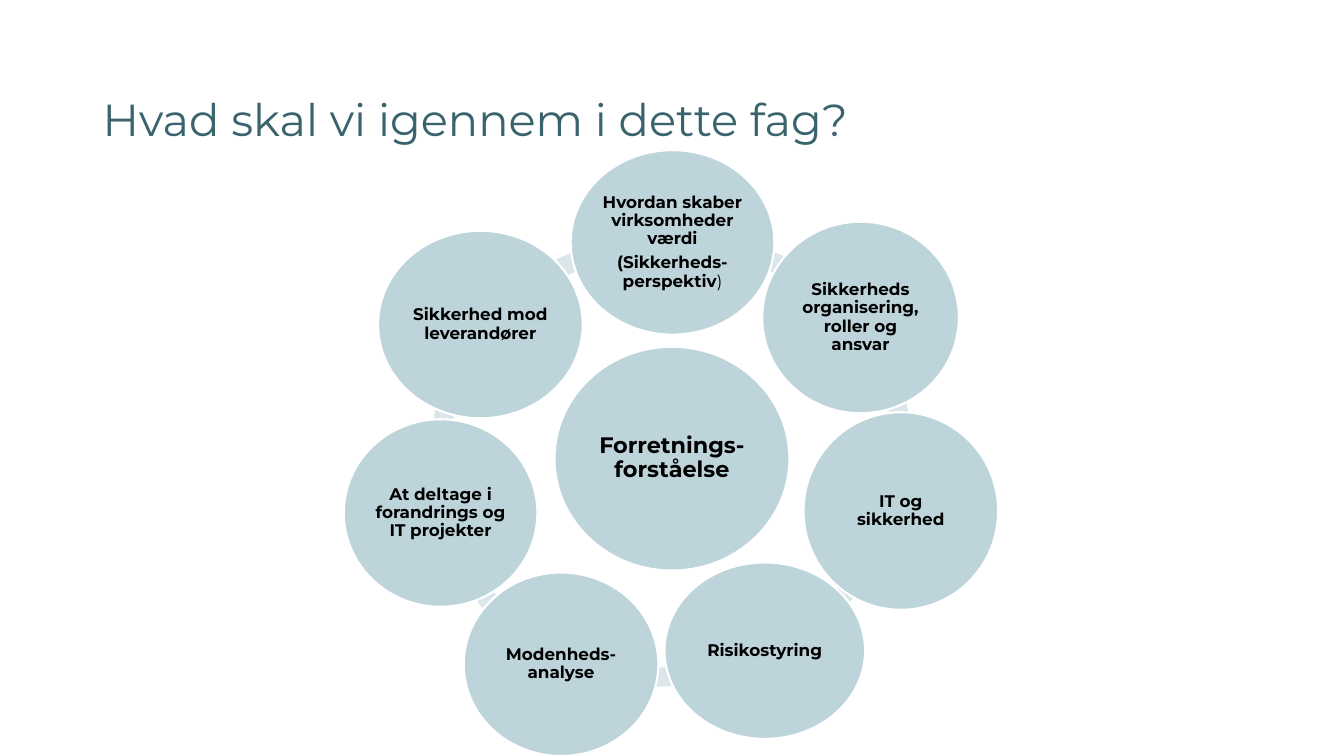
from dataclasses import dataclass
from math import atan2, degrees, hypot, sqrt

from pptx import Presentation
from pptx.dml.color import RGBColor
from pptx.enum.shapes import MSO_SHAPE
from pptx.enum.text import MSO_ANCHOR, PP_ALIGN
from pptx.util import Inches, Pt

CELL = 0.1  # inches per column and row of the layout grid


@dataclass(frozen=True)
class Theme:
    font: str = "Montserrat"
    title: RGBColor = RGBColor(0x3A, 0x64, 0x6D)
    text: RGBColor = RGBColor(0x00, 0x00, 0x00)
    circle: RGBColor = RGBColor(0xBE, 0xD4, 0xDB)
    outline: RGBColor = RGBColor(0xFF, 0xFF, 0xFF)
    arc: RGBColor = RGBColor(0xDB, 0xE6, 0xEA)
    title_size: int = 32
    hub_size: int = 16
    topic_size: int = 12


@dataclass(frozen=True)
class Box:
    """An area measured in grid columns and rows."""
    left: float
    top: float
    width: float
    height: float

    def inches(self):
        return [Inches(cells * CELL) for cells in (self.left, self.top, self.width, self.height)]


@dataclass(frozen=True)
class Topic:
    """A circle: its centre within the ring's box, its size, and paragraphs of (text, bold) runs."""
    x: float
    y: float
    width: float
    height: float
    paragraphs: tuple


THEME = Theme()
TITLE_BOX = Box(9.2, 7, 115, 10.1)
RING_BOX = Box(34.1, 14.9, 65, 60.1)
ARC_DIAMETER = 47.4
ARC_RADIUS = 23.15
ARC_THICKNESS = 0.04

HUB = Topic(32.55, 30.6, 23.3, 22.2, ((("Forretnings-forståelse", True),),))
TOPICS = [
    Topic(32.6, 9.15, 20.2, 18.3, (
        (("Hvordan skaber virksomheder værdi", True),),
        (("(Sikkerheds-perspektiv", True), (")", False)))),
    Topic(51.25, 16.6, 19.5, 19, ((("Sikkerheds organisering, roller og ansvar", True),),)),
    Topic(55.25, 35.8, 19.3, 19.6, ((("IT og sikkerhed", True),),)),
    Topic(41.75, 49.65, 19.9, 17.5, ((("Risikostyring", True),),)),
    Topic(21.55, 51, 19.3, 18.2, ((("Modenheds-analyse", True),),)),
    Topic(9.6, 36, 19.2, 18.6, ((("At deltage i forandrings og IT projekter", True),),)),
    Topic(13.55, 17.3, 20.3, 18.6, ((("Sikkerhed mod leverandører", True),),)),
]


def add_run(paragraph, text, size, color, bold=False):
    run = paragraph.add_run()
    run.text = text
    run.font.name = THEME.font
    run.font.size = Pt(size)
    run.font.bold = bold
    run.font.color.rgb = color


def add_title(slide, box, text):
    frame = slide.shapes.add_textbox(*box.inches()).text_frame
    frame.word_wrap = True
    frame.vertical_anchor = MSO_ANCHOR.MIDDLE
    paragraph = frame.paragraphs[0]
    paragraph.line_spacing = 0.9
    add_run(paragraph, text, THEME.title_size, THEME.title)


def add_arc(slide, box, start, end):
    """Draw a clockwise band that passes through the centres of two neighbouring topics."""
    across, down = end.x - start.x, end.y - start.y
    chord = hypot(across, down)
    inward = sqrt(ARC_RADIUS ** 2 - (chord / 2) ** 2) / chord
    x = (start.x + end.x) / 2 - down * inward
    y = (start.y + end.y) / 2 + across * inward
    area = Box(box.left + x - ARC_DIAMETER / 2, box.top + y - ARC_DIAMETER / 2,
               ARC_DIAMETER, ARC_DIAMETER)
    arc = slide.shapes.add_shape(MSO_SHAPE.BLOCK_ARC, *area.inches())
    for index, topic in enumerate((start, end)):
        angle = degrees(atan2(topic.y - y, topic.x - x)) % 360
        arc.adjustments[index] = angle * 0.6  # 60000 units a degree, scaled by 100000
    arc.adjustments[2] = ARC_THICKNESS
    arc.shadow.inherit = False
    arc.fill.solid()
    arc.fill.fore_color.rgb = THEME.arc
    arc.line.fill.background()


def add_circle(slide, box, topic, size):
    area = Box(box.left + topic.x - topic.width / 2, box.top + topic.y - topic.height / 2,
               topic.width, topic.height)
    circle = slide.shapes.add_shape(MSO_SHAPE.OVAL, *area.inches())
    circle.shadow.inherit = False
    circle.fill.solid()
    circle.fill.fore_color.rgb = THEME.circle
    circle.line.color.rgb = THEME.outline
    circle.line.width = Pt(1.5)
    frame = circle.text_frame
    frame.word_wrap = True
    frame.vertical_anchor = MSO_ANCHOR.MIDDLE
    frame.margin_left = frame.margin_right = Inches(0.02)
    frame.margin_top = frame.margin_bottom = Inches(0.02)
    for index, runs in enumerate(topic.paragraphs):
        paragraph = frame.add_paragraph() if index else frame.paragraphs[0]
        paragraph.alignment = PP_ALIGN.CENTER
        paragraph.line_spacing = 0.9
        paragraph.space_after = Pt(size * 0.35)
        for text, bold in runs:
            add_run(paragraph, text, size, THEME.text, bold)


def add_topic_ring(slide, box):
    for start, end in zip(TOPICS, TOPICS[1:] + TOPICS[:1]):
        add_arc(slide, box, start, end)
    add_circle(slide, box, HUB, THEME.hub_size)
    for topic in TOPICS:
        add_circle(slide, box, topic, THEME.topic_size)


def main():
    presentation = Presentation()
    presentation.slide_width = Inches(13.33)
    presentation.slide_height = Inches(7.5)
    slide = presentation.slides.add_slide(presentation.slide_layouts[6])
    add_title(slide, TITLE_BOX, "Hvad skal vi igennem i dette fag?")
    add_topic_ring(slide, RING_BOX)
    presentation.save("out.pptx")


if __name__ == "__main__":
    main()
